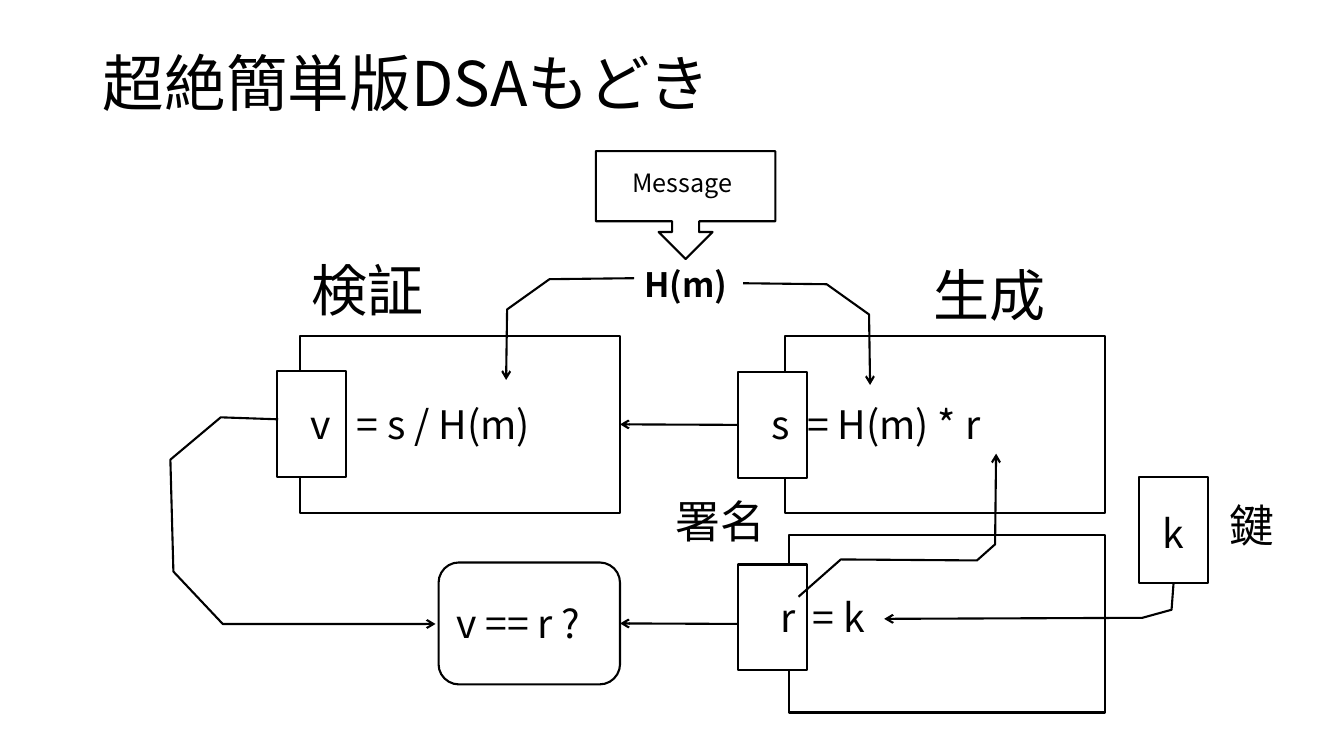
from dataclasses import dataclass

from lxml import etree
from pptx import Presentation
from pptx import util as u
from pptx.dml.color import RGBColor
from pptx.enum import shapes, text
from pptx.oxml.ns import qn

PX = 9144  # EMU per px, 100 px to the inch
LEFT, RIGHT = 1, 3  # connection sites of a rectangle


@dataclass(frozen=True)
class Theme:
    font: str = "Noto Sans CJK JP"
    ink: RGBColor = RGBColor(0, 0, 0)
    paper: RGBColor = RGBColor(255, 255, 255)
    title: int = 44
    heading: int = 40
    label: int = 32
    formula: int = 28
    digest: int = 24
    message: int = 18
    line: float = 1.5


class Diagram:
    def __init__(self, slide, theme):
        self.slide = slide
        self.theme = theme

    def add_run(self, paragraph, content, size, bold=False):
        run = paragraph.add_run()
        run.text = content
        run.font.name = self.theme.font
        run.font.size = u.Pt(size)
        run.font.bold = bold
        run.font.color.rgb = self.theme.ink
        east_asian = etree.SubElement(run._r.get_or_add_rPr(), qn("a:ea"))
        east_asian.set("typeface", self.theme.font)

    def title(self, content, left, top, width, height):
        shape = self.slide.shapes.title
        shape.left, shape.top = left * PX, top * PX
        shape.width, shape.height = width * PX, height * PX
        frame = shape.text_frame
        frame.auto_size = text.MSO_AUTO_SIZE.NONE
        frame.vertical_anchor = text.MSO_ANCHOR.MIDDLE
        paragraph = frame.paragraphs[0]
        paragraph.alignment = text.PP_ALIGN.LEFT
        paragraph.line_spacing = 0.9
        self.add_run(paragraph, content, self.theme.title)

    def text(self, content, left, top, width, height, size, bold=False, tab=None):
        """Add a text box; tab is the place of a tab stop in px from the text's left."""
        shape = self.slide.shapes.add_textbox(left * PX, top * PX, width * PX, height * PX)
        shape.text_frame.word_wrap = True
        paragraph = shape.text_frame.paragraphs[0]
        if tab:
            stops = etree.SubElement(paragraph._p.get_or_add_pPr(), qn("a:tabLst"))
            etree.SubElement(stops, qn("a:tab"), pos=str(tab * PX), algn="l")
        self.add_run(paragraph, content, size, bold)

    def outline(self, line):
        line.color.rgb = self.theme.ink
        line.width = u.Pt(self.theme.line)

    def arrowhead(self, line):
        etree.SubElement(line._get_or_add_ln(), qn("a:tailEnd"), type="arrow")

    def box(self, left, top, width, height, kind=shapes.MSO_SHAPE.RECTANGLE, filled=True):
        shape = self.slide.shapes.add_shape(
            kind, left * PX, top * PX, width * PX, height * PX)
        shape.shadow.inherit = False
        if filled:
            shape.fill.solid()
            shape.fill.fore_color.rgb = self.theme.paper
        else:
            shape.fill.background()
        self.outline(shape.line)
        return shape

    def arrow(self, start, end, source=None, target=None):
        """Add a straight arrow, joined to the source's left and the target's right."""
        connector = self.slide.shapes.add_connector(
            shapes.MSO_CONNECTOR.STRAIGHT, *(value * PX for value in start + end))
        if source is not None:
            connector.begin_connect(source, LEFT)
        if target is not None:
            connector.end_connect(target, RIGHT)
        self.outline(connector.line)
        self.arrowhead(connector.line)
        etree.SubElement(connector._element.spPr, qn("a:effectLst"))

    def bent_arrow(self, start, *corners):
        builder = self.slide.shapes.build_freeform(*start, scale=PX)
        builder.add_line_segments(corners, close=False)
        shape = builder.convert_to_shape()
        shape.shadow.inherit = False
        shape.fill.background()
        self.outline(shape.line)
        self.arrowhead(shape.line)


def main():
    presentation = Presentation()
    presentation.slide_width = 1333 * PX
    presentation.slide_height = 750 * PX
    slide = presentation.slides.add_slide(presentation.slide_layouts[5])
    theme = Theme()
    diagram = Diagram(slide, theme)
    diagram.title("超絶簡単版DSAもどき", 92, 13, 1150, 145)

    # Large boxes, then the small value boxes on their edges
    answer = diagram.box(435, 558, 180, 121, shapes.MSO_SHAPE.ROUNDED_RECTANGLE)
    diagram.box(779, 333, 317, 176)
    verification = diagram.box(298, 333, 317, 176)
    diagram.box(783, 531, 313, 176)
    diagram.box(591, 150, 178, 107, shapes.MSO_SHAPE.DOWN_ARROW_CALLOUT, filled=False)
    signature_s, *_ = [
        diagram.box(left, top, 68, 105)
        for left, top in ((732, 369), (732, 560), (275, 368), (1130, 473))
    ]

    # Formulas
    for content, left, top, width, tab in (
        ("s\t= H(m) * r", 755, 392, 251, 36),
        ("v\t= s / H(m)", 298, 392, 279, 46),
        ("r\t= k", 764, 584, 149, 32),
        ("v == r ?", 443, 590, 164, None),
        ("k", 1143, 500, 42, None),
    ):
        diagram.text(content, left, top, width, 57, theme.formula, tab=tab)

    # Message, headings and labels
    diagram.text("Message", 617, 161, 125, 40, theme.message)
    diagram.text("H(m)", 629, 257, 104, 50, theme.digest, bold=True)
    diagram.text("生成", 916, 254, 132, 77, theme.heading)
    diagram.text("検証", 299, 249, 132, 77, theme.heading)
    diagram.text("鍵", 1210, 489, 65, 64, theme.label)
    diagram.text("署名", 660, 485, 110, 64, theme.label)

    # Flow of values
    diagram.arrow((732, 421), (615, 421), signature_s, verification)
    diagram.arrow((732, 619), (615, 618), target=answer)
    diagram.bent_arrow((1164, 578), (1162, 605), (1133, 613), (877, 614))
    diagram.bent_arrow(
        (276, 416), (219, 414), (169, 456), (172, 567), (221, 619), (432, 619))
    diagram.bent_arrow((629, 276), (545, 277), (503, 307), (502, 377))
    diagram.bent_arrow((737, 281), (820, 282), (862, 312), (863, 382))
    diagram.bent_arrow((792, 592), (834, 555), (969, 556), (987, 540), (988, 450))

    presentation.save("out.pptx")


if __name__ == "__main__":
    main()
